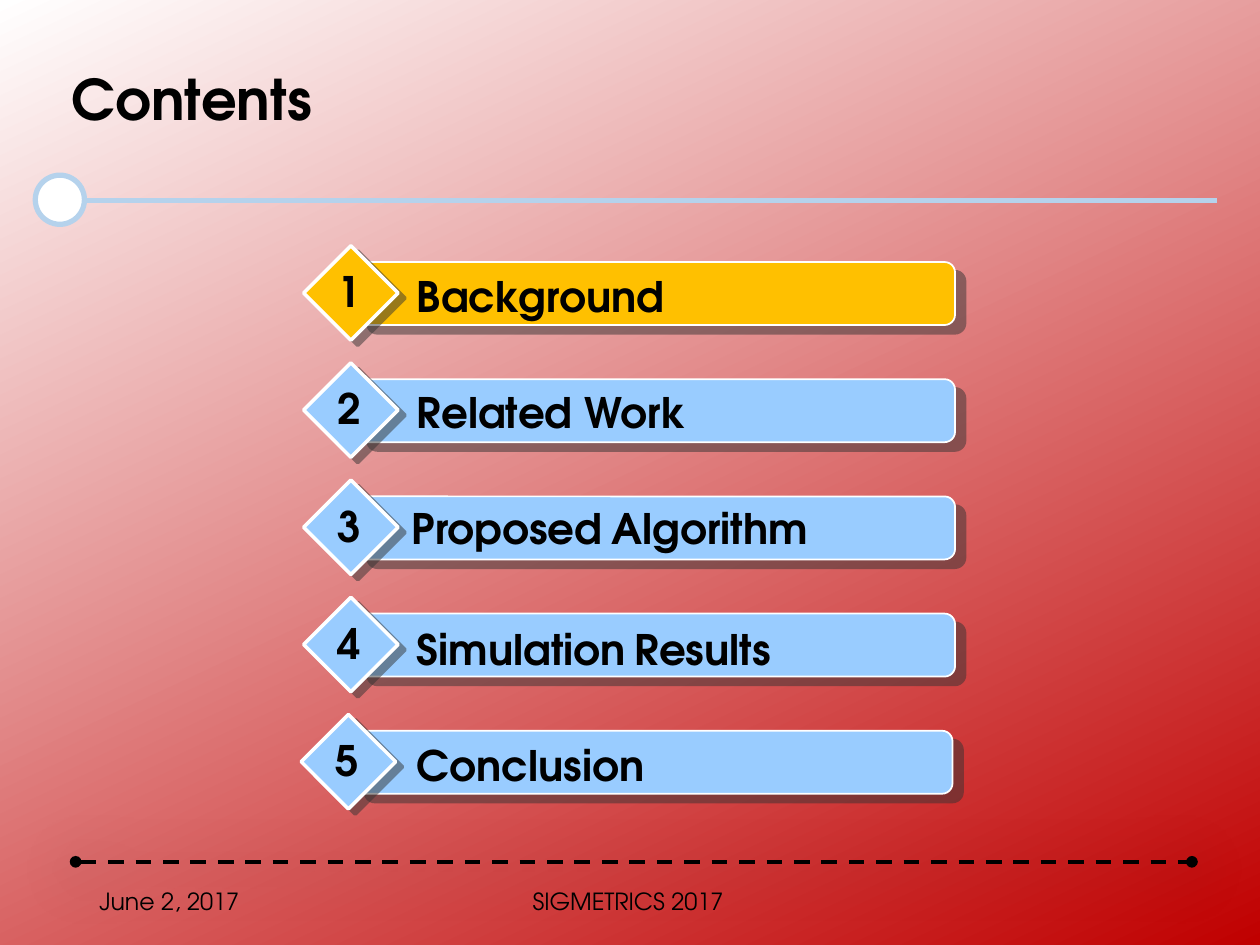
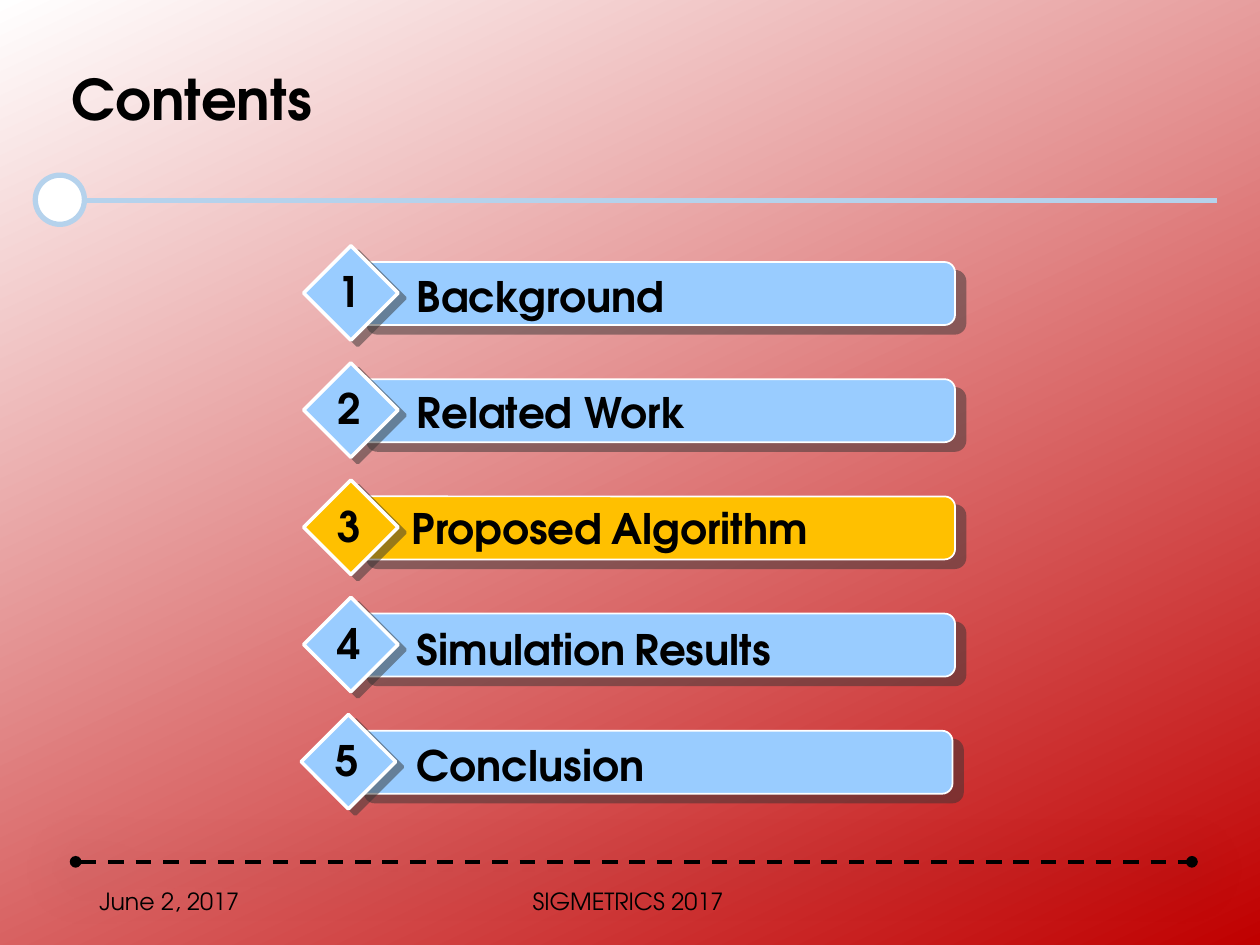
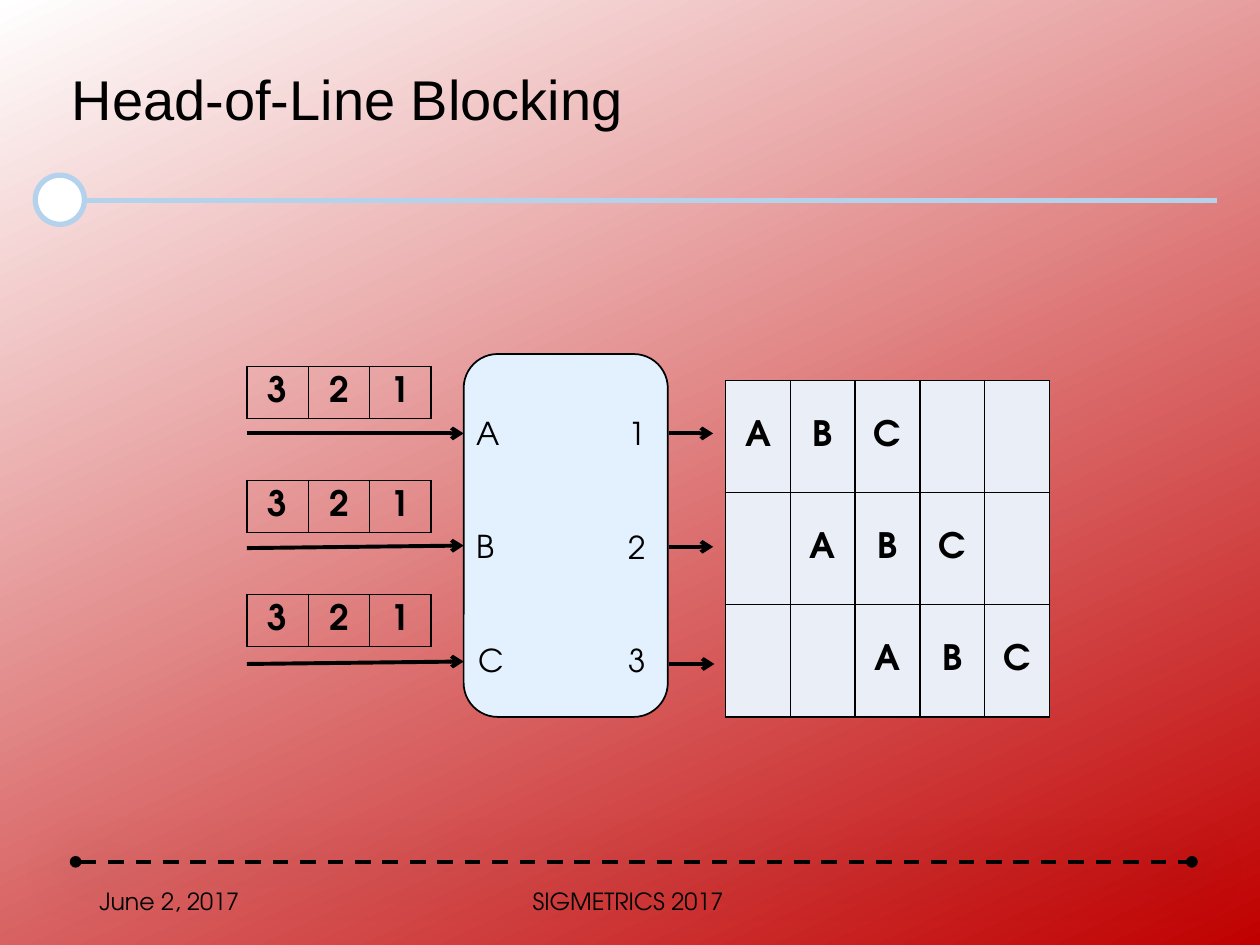
from dataclasses import dataclass
from typing import Any, NamedTuple, Optional

from lxml.etree import SubElement as Sub
from pptx import Presentation as Deck
from pptx.dml.color import RGBColor as Rgb
from pptx.enum.dml import MSO_LINE_DASH_STYLE as Dash
from pptx.enum.shapes import MSO_CONNECTOR as Link, MSO_SHAPE as Form
from pptx.enum.text import MSO_ANCHOR as Anchor, MSO_AUTO_SIZE as Fit, PP_ALIGN as Align
from pptx.oxml.ns import qn
from pptx.util import Inches, Pt

# Grid: 100 columns by 75 rows on a 10 x 7.5 inch slide
COLS, ROWS = 100, 75
WIDE, HIGH = Inches(10), Inches(7.5)


@dataclass(frozen=True)
class Theme:
    ink: str = "000000"
    paper: str = "FFFFFF"
    red: str = "C00000"
    rule: str = "B5D2EC"
    plain: str = "99CCFF"
    hot: str = "FFC000"
    switch: str = "E3F1FF"
    cell: str = "EAEFF7"
    shade: str = "333333"
    face: str = "TeX Gyre Adventor"
    sans: str = "Arial"
    title: float = 32
    item: float = 24
    table: float = 20
    body: float = 18
    foot: float = 13.5
    slant: float = 65


T = Theme()


class Box(NamedTuple):
    x: float
    y: float
    w: float
    h: float


class Shade(NamedTuple):
    tint: str
    alpha: int
    blur: float
    dist: float
    angle: int


class Run(NamedTuple):
    text: str
    size: float
    bold: bool = False
    face: str = T.face


@dataclass(frozen=True)
class Item:
    words: tuple[str, ...]
    left: float = 32.1
    drop: float = 0.2
    shift: float = 0


@dataclass(frozen=True)
class Lane:
    name: str
    left: float
    width: float
    top: float
    start: float
    end: float
    out: float
    tip: float = 56.6


ITEMS = [
    Item(("Background",)),
    Item(("Related Work",), drop=0.1),
    Item(("Proposed", "Algorithm"), left=31.7, drop=0),
    Item(("Simulation", "Results"), drop=0.3),
    Item(("Conclusion",), shift=-0.2),
]
LANES = [
    Lane("A", 36.8, 3.9, 32.4, 34.4, 34.4, 34.4),
    Lane("B", 36.8, 3.5, 41.3, 43.5, 43.3, 43.4),
    Lane("C", 37, 4.1, 50.4, 52.7, 52.5, 52.7, 56.7),
]
BAR = Shade(T.shade, 50, 0, 7.8, 40)
GEM = Shade(T.shade, 50, 0, 5, 37)
BASE = Shade(T.ink, 43, 36, 4, 90)
HEAD = Shade(T.ink, 43, 3, 3, 45)


# Helpers
def col(n: float) -> int:
    return round(WIDE * n / COLS)


def row(n: float) -> int:
    return round(HIGH * n / ROWS)


def place(box: Box) -> tuple[int, int, int, int]:
    return col(box.x), row(box.y), col(box.w), row(box.h)


def put(thing: Any, form: dict[str, Any]) -> None:
    for key, value in form.items():
        setattr(thing, key, value)


def tint(fill: Any, code: str) -> None:
    fill.solid()
    fill.fore_color.rgb = Rgb.from_string(code)


def cast(home: Any, shade: Optional[Shade]) -> Any:
    """Add an effect list, empty when there is no shadow."""
    list_ = Sub(home, qn("a:effectLst"))
    if shade:
        drop = Sub(list_, qn("a:outerShdw"), blurRad=str(Pt(shade.blur)), dist=str(Pt(shade.dist)),
                   dir=str(shade.angle * 60000), algn="ctr", rotWithShape="0")
        tone = Sub(drop, qn("a:srgbClr"), val=shade.tint)
        Sub(tone, qn("a:alpha"), val=str(shade.alpha * 1000))
    return list_


def write(para: Any, runs: list[Run], align: Any = None) -> None:
    para.alignment = align
    for part in runs:
        run = para.add_run()
        run.text = part.text
        tint(run.font.fill, T.ink)
        put(run.font, {"name": part.face, "size": Pt(part.size), "bold": part.bold})


def label(home: Any, box: Box, runs: list[Run], align: Any = None, **form: Any) -> Any:
    frame = home.add_textbox(*place(box)).text_frame
    put(frame, {"word_wrap": True, "auto_size": Fit.NONE} | form)
    write(frame.paragraphs[0], runs, align)
    return frame.paragraphs[0]


def block(home: Any, form: Any, box: Box, fill: str, edge: str, width: float,
          shade: Optional[Shade] = None) -> None:
    shape = home.add_shape(form, *place(box))
    tint(shape.fill, fill)
    tint(shape.line.fill, edge)
    shape.line.width = Pt(width)
    cast(shape._element.spPr, shade)


def line(home: Any, x1: float, y1: float, x2: float, y2: float, ink: str = T.ink, width: float = 2.25,
         dash: Any = None, head: str = "none", tail: str = "none", shade: Optional[Shade] = None) -> None:
    link = home.add_connector(Link.STRAIGHT, col(x1), row(y1), col(x2), row(y2))
    tint(link.line.fill, ink)
    put(link.line, {"width": Pt(width), "dash_style": dash})
    props = link._element.spPr
    for tag, kind in (("a:headEnd", head), ("a:tailEnd", tail)):
        Sub(props.find(qn("a:ln")), qn(tag), type=kind)
    cast(props, shade)


def grid(home: Any, box: Box, rows: list[str], fill: Optional[str] = None) -> None:
    """Draw a table with one letter of each string per cell."""
    table = home.add_table(len(rows), len(rows[0]), *place(box)).table
    put(table, {"first_row": False, "horz_banding": False})
    for band in table.rows:
        band.height = row(box.h / len(rows))
    for band in table.columns:
        band.width = col(box.w / len(rows[0]))
    for r, text in enumerate(rows):
        for c, mark in enumerate(text):
            cell = table.cell(r, c)
            put(cell, {"vertical_anchor": Anchor.MIDDLE, "margin_top": row(0.3), "margin_bottom": row(0.3)})
            props = cell._tc.get_or_add_tcPr()
            for side in "LRTB":
                edge = Sub(props, qn(f"a:ln{side}"), w=str(Pt(1)))
                Sub(Sub(edge, qn("a:solidFill")), qn("a:srgbClr"), val=T.ink)
            if fill:
                tint(cell.fill, fill)
            else:
                cell.fill.background()
            if mark.strip():
                write(cell.text_frame.paragraphs[0], [Run(mark, T.table, True)], Align.CENTER)


# Shared frame: background, title, rules and footer
def start(deck: Any, title: Run) -> Any:
    slide = deck.slides.add_slide(deck.slide_layouts[6])
    fill, home = slide.background.fill, slide.shapes
    fill.gradient()
    fill.gradient_angle = 360 - T.slant
    for stop, code, spot in zip(fill.gradient_stops, (T.paper, T.red), (0, 1)):
        stop.color.rgb = Rgb.from_string(code)
        stop.position = spot
    line(home, 6.9, 15.9, 96.6, 15.9, T.rule, 3)
    block(home, Form.OVAL, Box(2.8, 13.9, 3.9, 3.9), T.paper, T.rule, 3)
    line(home, 6, 68.4, 94.6, 68.4, dash=Dash.DASH, head="oval", tail="oval", shade=BASE)
    para = label(home, Box(4.7, 0.9, 86.2, 14.5), [title], vertical_anchor=Anchor.MIDDLE)
    para.line_spacing = 0.9
    props = para.runs[0].font._element
    props.find(qn("a:solidFill")).addnext(cast(props, HEAD))
    for text, x, w, align in (("June 2, 2017", 6.9, 22.5, None), ("SIGMETRICS 2017", 24.1, 51.5, Align.CENTER)):
        label(home, Box(x, 69.5, w, 4), [Run(text, T.foot)], align, vertical_anchor=Anchor.MIDDLE)
    return home


# Contents slide with one item lit
def contents(deck: Any, lit: int) -> None:
    home = start(deck, Run("Contents", T.title, True))
    for n, item in enumerate(ITEMS, 1):
        part = home.add_group_shape().shapes
        x, y = 28.3 + item.shift, 20.8 + 9.3 * (n - 1)
        fill = T.hot if n == lit else T.plain
        block(part, Form.ROUNDED_RECTANGLE, Box(x, y, 47.5, 5), fill, T.paper, 1, BAR)
        block(part, Form.DIAMOND, Box(x - 4.2, y - 1.3, 7.5, 7.5), fill, T.paper, 2, GEM)
        runs = [Run(item.words[0], T.item, True)]
        for word in item.words[1:]:
            runs += [Run(" ", T.body), Run(word, T.item, True)]
        label(part, Box(item.left, y + item.drop, 37.5, 5.1), runs, auto_size=Fit.SHAPE_TO_FIT_TEXT)
        label(part, Box(x - 2.5, y - 0.2, 3.9, 5.1), [Run(str(n), T.item, True)], Align.CENTER,
              word_wrap=False, auto_size=Fit.SHAPE_TO_FIT_TEXT)


# Switch slide: queues, ports and time slots
def blocking(deck: Any) -> None:
    home = start(deck, Run("Head-of-Line Blocking", T.title, face=T.sans))
    block(home, Form.ROUNDED_RECTANGLE, Box(36.8, 28.1, 16.2, 28.8), T.switch, T.ink, 1)
    free = {"word_wrap": False, "auto_size": Fit.SHAPE_TO_FIT_TEXT}
    for n, lane in enumerate(LANES):
        grid(home, Box(19.6, 29.1 + 9.05 * n, 14.6, 4.1), ["321"])
        line(home, 19.6, lane.start, 36.8, lane.end, tail="arrow")
        label(home, Box(lane.left, lane.top, lane.width, 4), [Run(lane.name, T.body)], **free)
        label(home, Box(48.9, 32.4 + 9 * n, 3.4, 4), [Run(str(n + 1), T.body)], **free)
        line(home, 53.1, lane.out, lane.tip, lane.out, tail="arrow")
    grid(home, Box(57.6, 30.2, 25.7, 26.7), ["ABC  ", " ABC ", "  ABC"], T.cell)


def main() -> None:
    deck = Deck()
    put(deck, {"slide_width": WIDE, "slide_height": HIGH})
    contents(deck, 1)
    contents(deck, 3)
    blocking(deck)
    deck.save("out.pptx")


if __name__ == "__main__":
    main()
